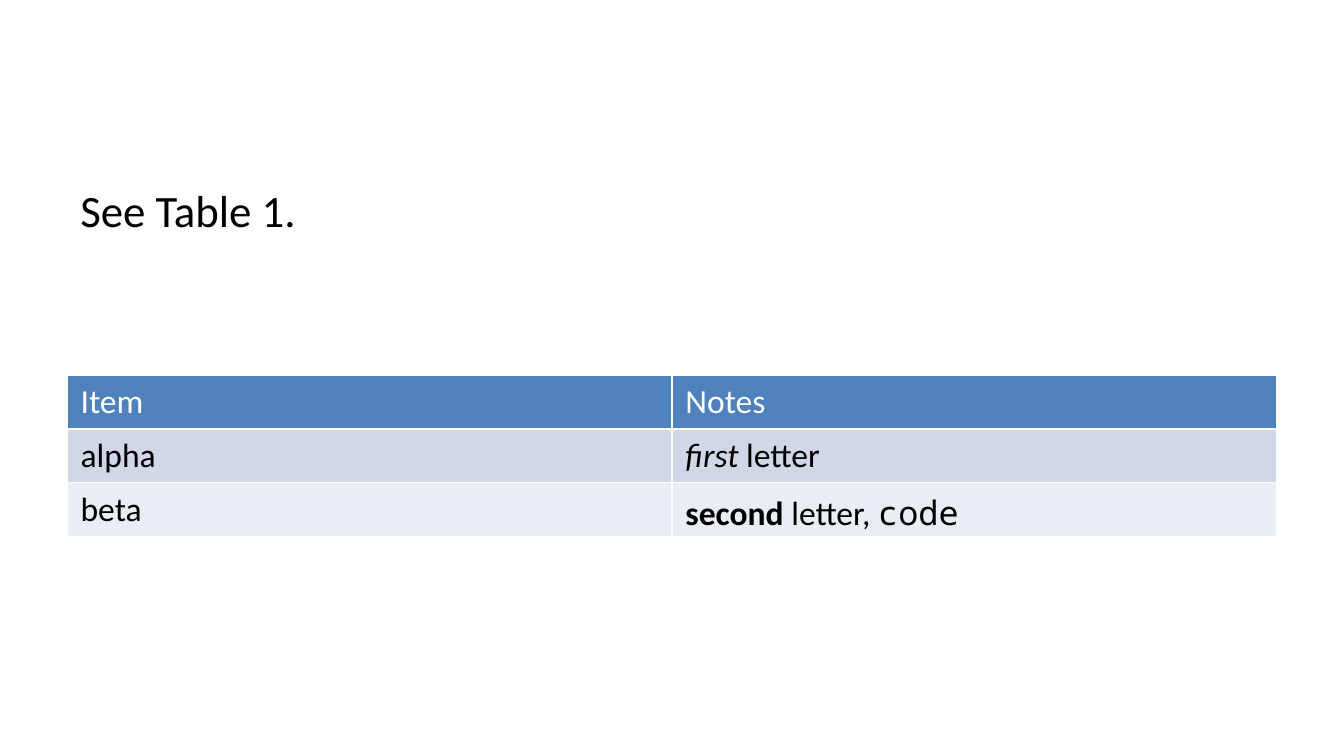
import pptx
import pptx.dml.color
import pptx.util

Inches = pptx.util.Inches

INTRO = "See Table 1."
# Each cell is a list of (text, format values that differ from the table text)
ROWS = [
    [[("Item", {})], [("Notes", {})]],
    [[("alpha", {})], [("first", {"italic": True}), (" letter", {})]],
    [[("beta", {})],
     [("second", {"bold": True}), (" letter, ", {}), ("code", {"name": "Noto Sans Mono"})]],
]
ROW_COLOURS = [("4F81BD", "FFFFFF"), ("D0D8E8", "000000"), ("E9EDF4", "000000")]
LEFT, WIDTH = 0.5, 9


def colour(hex_value):
    return pptx.dml.color.RGBColor.from_string(hex_value)


def add_span(para, text, size, hex_value, extra):
    span = para.add_run()
    span.text = text
    values = {"name": "Calibri", "size": pptx.util.Pt(size), "bold": False, "italic": False}
    for name, value in (values | extra).items():
        setattr(span.font, name, value)
    span.font.color.rgb = colour(hex_value)


def add_intro(page):
    box = page.shapes.add_textbox(Inches(LEFT), Inches(1.31), Inches(WIDTH), Inches(1.35))
    box.text_frame.word_wrap = True
    add_span(box.text_frame.paragraphs[0], INTRO, 24, "000000", {})


def add_notes_table(page):
    table = page.shapes.add_table(
        len(ROWS), len(ROWS[0]), Inches(LEFT), Inches(2.79),
        Inches(WIDTH), Inches(2.08)).table
    for row, contents, (fill, text_colour) in zip(table.rows, ROWS, ROW_COLOURS):
        row.height = 0  # rows grow to fit their text
        for cell, spans in zip(row.cells, contents):
            cell.fill.solid()
            cell.fill.fore_color.rgb = colour(fill)
            for text, extra in spans:
                add_span(cell.text_frame.paragraphs[0], text, 18, text_colour, extra)


def main():
    deck = pptx.Presentation()
    deck.slide_width = Inches(10)
    deck.slide_height = deck.slide_width * 9 // 16
    page = deck.slides.add_slide(deck.slide_layouts.get_by_name("Blank"))
    add_intro(page)
    add_notes_table(page)
    deck.save("out.pptx")


if __name__ == "__main__":
    main()
